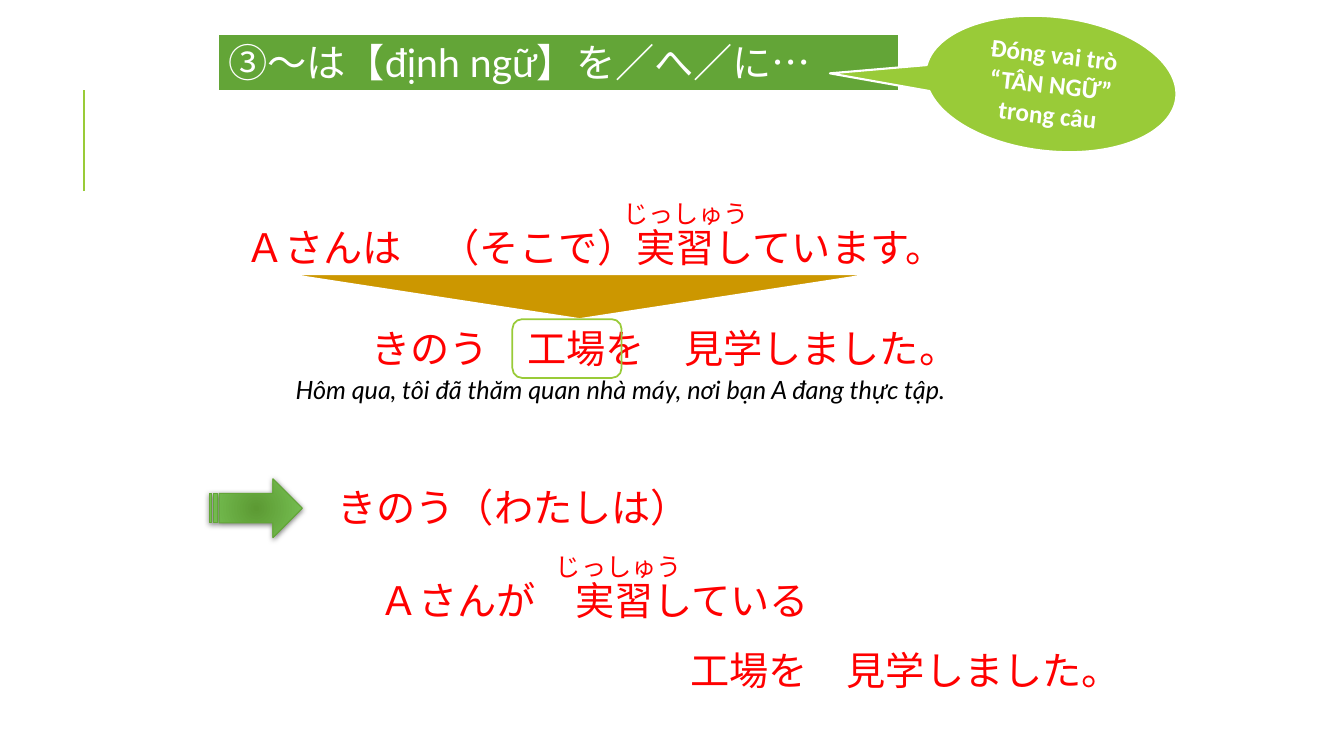
from dataclasses import dataclass

from lxml import etree
from pptx import Presentation
from pptx.dml.color import RGBColor
from pptx.enum.shapes import MSO_CONNECTOR, MSO_SHAPE
from pptx.enum.text import MSO_ANCHOR, MSO_AUTO_SIZE, PP_ALIGN
from pptx.oxml import parse_xml
from pptx.oxml.ns import nsdecls, qn
from pptx.util import Pt

PX = 9525  # EMU per px, 96 px to the inch
RECT = MSO_SHAPE.RECTANGLE
CALLOUT = MSO_SHAPE.OVAL_CALLOUT
TRIANGLE = MSO_SHAPE.FLOWCHART_MERGE
ARROW = MSO_SHAPE.STRIPED_RIGHT_ARROW
FRAME = MSO_SHAPE.ROUNDED_RECTANGLE
STRAIGHT = MSO_CONNECTOR.STRAIGHT
TOP, MIDDLE = MSO_ANCHOR.TOP, MSO_ANCHOR.MIDDLE
LEFT, CENTER = PP_ALIGN.LEFT, PP_ALIGN.CENTER
GROW = MSO_AUTO_SIZE.SHAPE_TO_FIT_TEXT


@dataclass(frozen=True)
class Theme:
    white: str = "FFFFFF"
    black: str = "000000"
    red: str = "FF0000"
    green: str = "63A537"
    lime: str = "99CB38"
    gold: str = "CC9700"
    arrow_dark: str = "5C9A33"
    arrow_light: str = "79C356"
    font: str = "Lato"
    callout_font: str = "Calibri"
    sentence: int = 28
    small: int = 18


THEME = Theme()


def rgb(value):
    return RGBColor.from_string(value)


def px(*lengths):
    return [length * PX for length in lengths]


def add_run(p, text, size, color, font=THEME.font, bold=False, italic=False):
    r = p.add_run()
    r.text = text
    r.font.name, r.font.size = font, Pt(size)
    r.font.bold, r.font.italic = bold, italic
    r.font.color.rgb = rgb(color)


def first_paragraph(s, align=LEFT, anchor=TOP):
    tf = s.text_frame
    tf.word_wrap = True
    tf.vertical_anchor = anchor
    p = tf.paragraphs[0]
    p.alignment = align
    return p


def add_text(sp, box, text, size=THEME.sentence, color=THEME.red, italic=False):
    s = sp.add_textbox(*px(*box))
    p = first_paragraph(s)
    s.text_frame.auto_size = GROW
    add_run(p, text, size, color, italic=italic)


def add_figure(sp, kind, box, fill=None, line=THEME.white, width=1.5):
    s = sp.add_shape(kind, *px(*box))
    s.shadow.inherit = False
    if fill:
        s.fill.solid()
        s.fill.fore_color.rgb = rgb(fill)
    else:
        s.fill.background()
    s.line.color.rgb = rgb(line)
    s.line.width = Pt(width)
    return s


def add_rule(sp, x, top, bottom):
    s = sp.add_connector(STRAIGHT, *px(x, bottom, x, top))
    s.line.color.rgb = rgb(THEME.lime)
    s.line.width = Pt(1.5)
    etree.SubElement(s._element.spPr, qn("a:effectLst"))


def add_arrow(sp, box):
    s = add_figure(sp, ARROW, box, THEME.green, THEME.green, 0.75)
    props = s._element.spPr
    # Radial gradient
    props.replace(props.find(qn("a:solidFill")), parse_xml(
        f'<a:gradFill {nsdecls("a")} rotWithShape="1"><a:gsLst>'
        f'<a:gs pos="0"><a:srgbClr val="{THEME.arrow_dark}"/></a:gs>'
        f'<a:gs pos="100000"><a:srgbClr val="{THEME.arrow_light}"/></a:gs>'
        '</a:gsLst><a:path path="circle"><a:fillToRect l="100000" t="100000" '
        'r="100000" b="100000"/></a:path></a:gradFill>'))
    # Soft shadow below
    props.find(qn("a:effectLst")).append(parse_xml(
        f'<a:outerShdw {nsdecls("a")} blurRad="{Pt(4)}" dist="{Pt(1)}" '
        f'dir="5400000" rotWithShape="0"><a:srgbClr val="{THEME.black}">'
        '<a:alpha val="50000"/></a:srgbClr></a:outerShdw>'))


def add_heading(sp):
    s = add_figure(sp, RECT, (208, 32, 648, 55), THEME.green)
    p = first_paragraph(s)
    s.text_frame.auto_size = GROW
    add_run(p, "③～は【định ngữ】を／へ／に…", THEME.sentence, THEME.white)


def add_callout(sp):
    s = add_figure(sp, CALLOUT, (881, 16, 240, 128), THEME.lime)
    s.rotation = 6.3
    s.adjustments[0], s.adjustments[1] = -0.877, 0.102
    p = first_paragraph(s, CENTER, MIDDLE)
    add_run(p, "Đóng vai trò “TÂN NGỮ” trong câu", THEME.small, THEME.white,
            THEME.callout_font, bold=True)


def main():
    prs = Presentation()
    prs.slide_width, prs.slide_height = px(1280, 720)
    sp = prs.slides.add_slide(prs.slide_layouts[6]).shapes

    # Heading
    add_rule(sp, 80, 86, 182)
    add_heading(sp)
    add_callout(sp)

    # Two sentences to be joined
    add_text(sp, (272, 352, 696, 39),
             "Hôm qua, tôi đã thăm quan nhà máy, nơi bạn A đang thực tập.",
             THEME.small, THEME.black, italic=True)
    add_text(sp, (344, 304, 592, 55), "きのう　工場を　見学しました。")
    add_text(sp, (224, 208, 696, 55), "Ａさんは　（そこで）実習しています。")
    add_text(sp, (584, 184, 152, 39), "じっしゅう", THEME.small)
    add_figure(sp, TRIANGLE, (272, 261, 560, 43), THEME.gold)

    # Joined sentence
    add_arrow(sp, (200, 456, 88, 56))
    add_text(sp, (312, 456, 392, 55), "きのう（わたしは）")
    add_text(sp, (648, 611, 424, 55), "工場を　見学しました。")
    add_text(sp, (352, 544, 696, 55), "Ａさんが　実習している")
    add_text(sp, (520, 520, 152, 39), "じっしゅう", THEME.small)

    # Frame around the modified noun
    add_figure(sp, FRAME, (488, 304, 104, 56), line=THEME.lime, width=1.25)

    prs.save("out.pptx")


if __name__ == "__main__":
    main()
